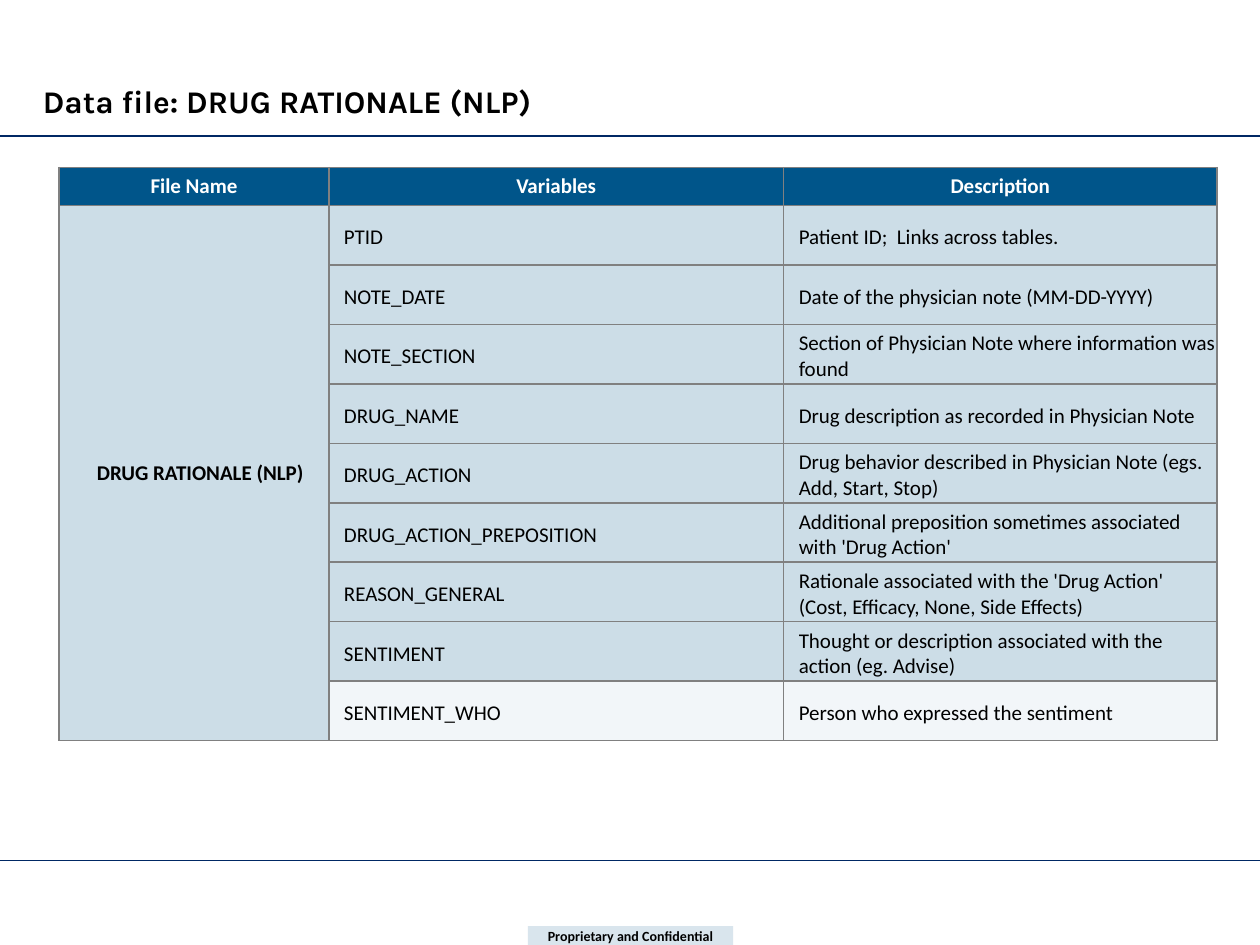
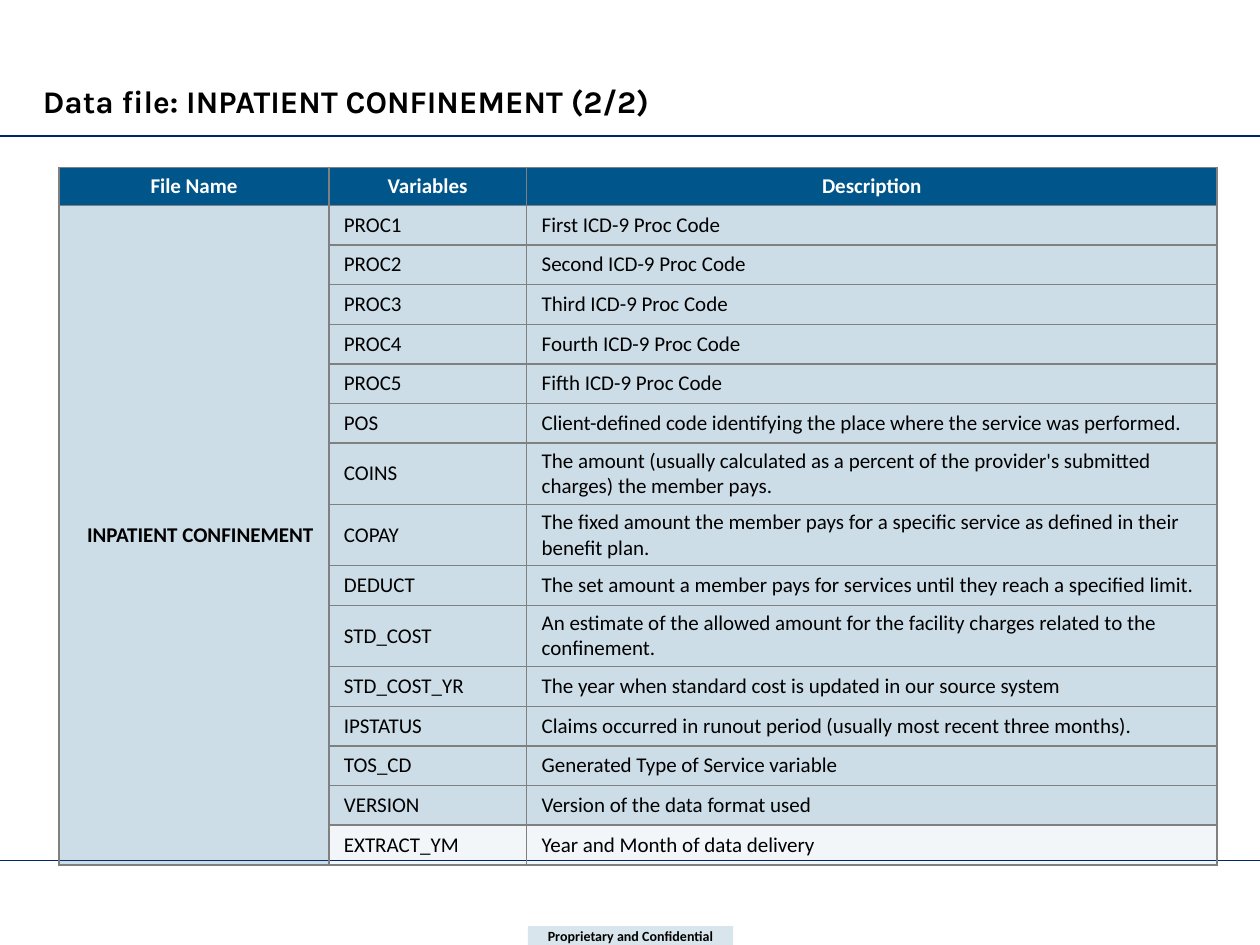
"""Build the two data dictionary slides."""
from lxml.etree import SubElement
from pptx import Presentation
from pptx.dml.color import RGBColor
from pptx.enum.shapes import MSO_CONNECTOR, MSO_SHAPE
from pptx.enum.text import MSO_ANCHOR, PP_ALIGN
from pptx.oxml import parse_xml
from pptx.oxml.ns import nsdecls, qn
from pptx.util import Inches, Pt

BLUE = RGBColor(0x00, 0x55, 0x8A)
NAVY = RGBColor(0x00, 0x28, 0x64)
GRAY = RGBColor(0x80, 0x80, 0x80)
BLACK = RGBColor(0x00, 0x00, 0x00)
WHITE = RGBColor(0xFF, 0xFF, 0xFF)

TITLE_FONT = "Karla"
BODY_FONT = "Calibri"
TITLE_ONLY_LAYOUT = 5
RULE_TOPS = (6.83, 1.08)
HEADINGS = ("File Name", "Variables", "Description")
HEADER_HEIGHT = 0.3
FILE_COLUMN_WIDTH = 2.14

DRUG_RATIONALE = [
    ("PTID", "Patient ID;  Links across tables."),
    ("NOTE_DATE", "Date of the physician note (MM-DD-YYYY)"),
    ("NOTE_SECTION", "Section of Physician Note where information was found"),
    ("DRUG_NAME", "Drug description as recorded in Physician Note"),
    ("DRUG_ACTION", "Drug behavior described in Physician Note (egs. Add, Start, Stop)"),
    ("DRUG_ACTION_PREPOSITION", "Additional preposition sometimes associated with 'Drug Action'"),
    ("REASON_GENERAL",
     "Rationale associated with the 'Drug Action' (Cost, Efficacy, None, Side Effects)"),
    ("SENTIMENT", "Thought or description associated with the action (eg. Advise)"),
    ("SENTIMENT_WHO", "Person who expressed the sentiment"),
]

INPATIENT_CONFINEMENT = [
    ("PROC1", "First ICD-9 Proc Code"),
    ("PROC2", "Second ICD-9 Proc Code"),
    ("PROC3", "Third ICD-9 Proc Code"),
    ("PROC4", "Fourth ICD-9 Proc Code"),
    ("PROC5", "Fifth ICD-9 Proc Code"),
    ("POS", "Client-defined code identifying the place where the service was performed."),
    ("COINS",
     "The amount (usually calculated as a percent of the provider's submitted charges) "
     "the member pays."),
    ("COPAY",
     "The fixed amount the member pays for a specific service as defined in their benefit plan."),
    ("DEDUCT", "The set amount a member pays for services until they reach a specified limit."),
    ("STD_COST",
     "An estimate of the allowed amount for the facility charges related to the confinement."),
    ("STD_COST_YR", "The year when standard cost is updated in our source system"),
    ("IPSTATUS", "Claims occurred in runout period (usually most recent three months)."),
    ("TOS_CD", "Generated Type of Service variable"),
    ("VERSION", "Version of the data format used"),
    ("EXTRACT_YM", "Year and Month of data delivery"),
]


class DictionaryDeck:
    """Hold the shared style and the slide being built."""

    def __init__(self):
        self.deck = Presentation()
        self.deck.slide_width = Inches(10)
        self.deck.slide_height = Inches(7.5)
        self.page = None

    def add_page(self, title):
        layout = self.deck.slide_layouts[TITLE_ONLY_LAYOUT]
        self.page = self.deck.slides.add_slide(layout)
        for top in RULE_TOPS:
            self.add_rule(top)
        self.add_footer("Proprietary and Confidential")
        self.add_title(title)

    def add_rule(self, top):
        rule = self.page.shapes.add_connector(
            MSO_CONNECTOR.STRAIGHT, Inches(0), Inches(top), Inches(10), Inches(top))
        rule.line.color.rgb = NAVY
        rule.line.width = Pt(0.75)
        SubElement(rule._element.spPr, qn("a:effectLst"))

    def add_footer(self, text):
        box = self.page.shapes.add_shape(
            MSO_SHAPE.RECTANGLE, Inches(4.19), Inches(7.35), Inches(1.63), Inches(0.15))
        box.shadow.inherit = False
        self.tint(box.fill, box._element, 15)
        box.line.fill.background()
        frame = box.text_frame
        self.set_margins(frame, 0.01, 0.01, 0.01, 0.01)
        self.set_text(frame, text, 8, bold=True, align=PP_ALIGN.CENTER)

    def add_title(self, text):
        title = self.page.shapes.title
        title.left, title.top = Inches(0.24), Inches(0.6)
        title.width, title.height = Inches(9.5), Inches(0.4)
        title.text_frame.vertical_anchor = MSO_ANCHOR.BOTTOM
        self.set_text(title.text_frame, text, 18, bold=True, font=TITLE_FONT)

    def add_table(self, file_name, variables, widths, height, bottom_margin):
        count = len(variables)
        table = self.page.shapes.add_table(
            count + 1, len(HEADINGS), Inches(0.47), Inches(1.33),
            Inches(FILE_COLUMN_WIDTH + sum(widths)), Inches(height)).table
        table.first_row = table.horz_banding = False
        for column, width in zip(table.columns, (FILE_COLUMN_WIDTH, *widths)):
            column.width = Inches(width)
        for index, row in enumerate(table.rows):
            row.height = Inches((height - HEADER_HEIGHT) / count if index else HEADER_HEIGHT)

        for column, heading in enumerate(HEADINGS):
            self.fill_cell(table.cell(0, column), heading, (0, 0, 0, 0), bold=True, color=WHITE)
        for index, entry in enumerate(variables, start=1):
            opacity = 5 if index == count else 20
            self.fill_cell(table.cell(index, 0), file_name if index == 1 else "",
                           (0.1, 0, 0, 0), 20, bold=True)
            for column, text in enumerate(entry, start=1):
                self.fill_cell(table.cell(index, column), text,
                               (0.12, 0.04, 0, bottom_margin), opacity)
        table.cell(1, 0).merge(table.cell(count, 0))

    def fill_cell(self, cell, text, margins, opacity=100, bold=False, color=BLACK):
        self.tint(cell.fill, cell._tc, opacity)
        self.add_borders(cell)
        cell.vertical_anchor = MSO_ANCHOR.MIDDLE
        self.set_margins(cell, *margins)
        align = PP_ALIGN.CENTER if bold else PP_ALIGN.LEFT
        self.set_text(cell.text_frame, text, 12, bold, align, color=color)

    @staticmethod
    def add_borders(cell):
        properties = cell._tc.get_or_add_tcPr()
        for index, side in enumerate("LRTB"):
            properties.insert(index, parse_xml(
                f'<a:ln{side} {nsdecls("a")} w="{Pt(1)}"><a:solidFill>'
                f'<a:srgbClr val="{GRAY}"/></a:solidFill></a:ln{side}>'))

    @staticmethod
    def tint(fill, element, opacity):
        fill.solid()
        fill.fore_color.rgb = BLUE
        if opacity < 100:
            color = element.find(f".//{qn('a:srgbClr')}")
            SubElement(color, qn("a:alpha"), val=str(opacity * 1000))

    @staticmethod
    def set_margins(holder, left, top, right, bottom):
        holder.margin_left, holder.margin_top = Inches(left), Inches(top)
        holder.margin_right, holder.margin_bottom = Inches(right), Inches(bottom)

    @staticmethod
    def set_text(frame, text, size, bold=False, align=PP_ALIGN.LEFT, font=BODY_FONT, color=BLACK):
        frame.word_wrap = True
        para = frame.paragraphs[0]
        if text:
            para.add_run().text = text
        para.alignment = align
        para.font.name = font
        para.font.size = Pt(size)
        para.font.bold = bold
        para.font.color.rgb = color


def main():
    builder = DictionaryDeck()
    builder.add_page("Data file: DRUG RATIONALE (NLP)")
    builder.add_table("DRUG RATIONALE (NLP)", DRUG_RATIONALE, (3.61, 3.44), 4.55, 0)
    builder.add_page("Data file: INPATIENT CONFINEMENT (2/2)")
    builder.add_table("INPATIENT CONFINEMENT", INPATIENT_CONFINEMENT, (1.57, 5.48), 5.02, 0.04)
    builder.deck.save("out.pptx")


if __name__ == "__main__":
    main()
